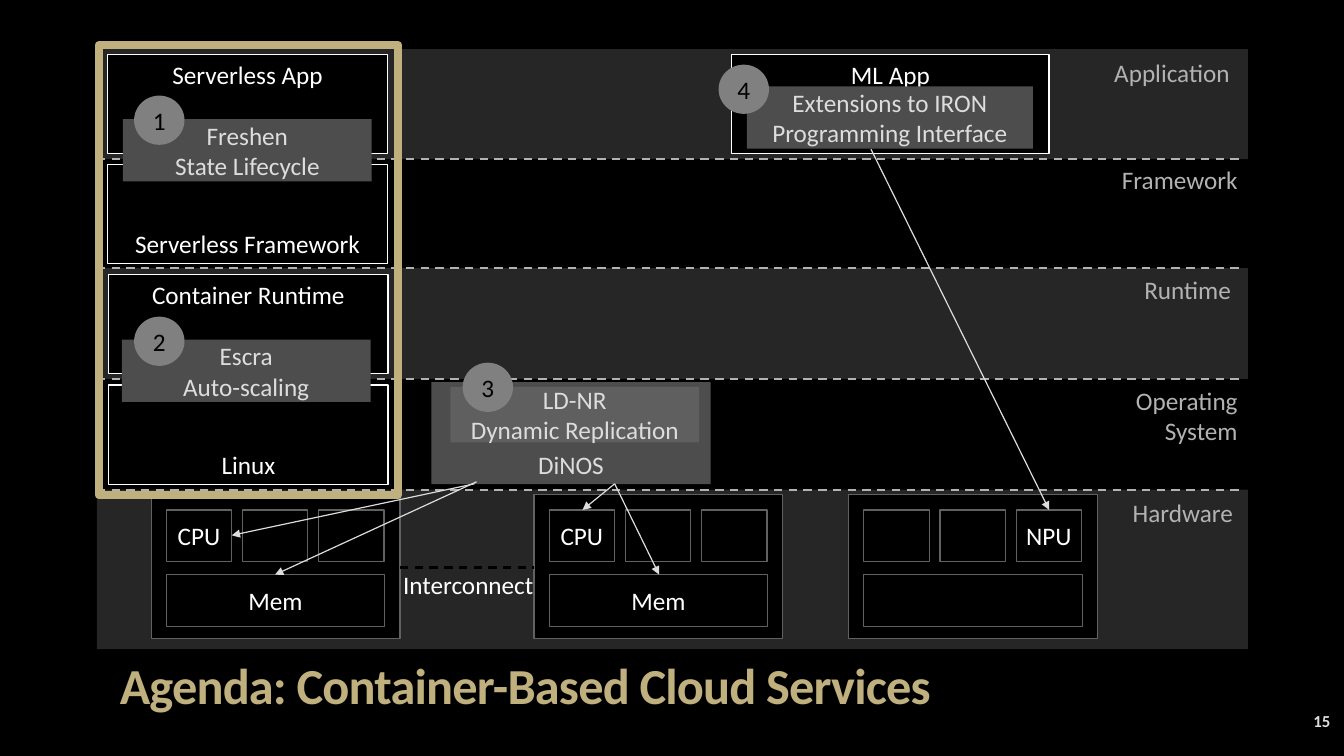
import pptx
import pptx.util
import pptx.dml.color
import pptx.enum.dml
import pptx.enum.shapes
import pptx.enum.text
import pptx.oxml
import pptx.oxml.ns
from dataclasses import dataclass
from lxml import etree

Cm, Pt = pptx.util.Cm, pptx.util.Pt
RGBColor = pptx.dml.color.RGBColor
Shape = pptx.enum.shapes.MSO_SHAPE
Anchor = pptx.enum.text.MSO_ANCHOR
Align = pptx.enum.text.PP_ALIGN


@dataclass(frozen=True)
class Theme:
    font: str = "Calibri"
    black: str = "000000"
    white: str = "FFFFFF"
    band: str = "262626"
    outline: str = "616161"
    work: str = "4D4D4D"
    inner_work: str = "5F5F5F"
    badge: str = "808080"
    label: str = "B2B2B2"
    light: str = "DDDDDD"
    gold: str = "BFB07D"
    body_size: float = 18
    title_size: float = 36
    number_size: float = 12
    thin: float = 0.85
    dash: float = 1.5
    frame: float = 6


theme = Theme()
presentation = pptx.Presentation()
presentation.slide_width, presentation.slide_height = Cm(33.87), Cm(19.05)
slide = presentation.slides.add_slide(presentation.slide_layouts[6])
slide.background.fill.solid()
slide.background.fill.fore_color.rgb = RGBColor.from_string(theme.black)


def add_block(kind, box, fill=None, line=None, text="", color=theme.white,
              anchor=Anchor.MIDDLE, align=Align.CENTER,
              size=theme.body_size, bold=False, line_width=theme.thin):
    """Add a filled shape, or a plain text box when kind is None."""
    lengths = [Cm(length) for length in box]
    if kind is None:
        shape = slide.shapes.add_textbox(*lengths)
    else:
        shape = slide.shapes.add_shape(kind, *lengths)
        shape.shadow.inherit = False
        shape.text_frame.margin_left = shape.text_frame.margin_right = 0
    if fill:
        shape.fill.solid()
        shape.fill.fore_color.rgb = RGBColor.from_string(fill)
    else:
        shape.fill.background()
    if line:
        shape.line.color.rgb = RGBColor.from_string(line)
        shape.line.width = Pt(line_width)
    else:
        shape.line.fill.background()
    text_frame = shape.text_frame
    text_frame.word_wrap = True
    text_frame.vertical_anchor = anchor
    text_frame.text = text
    for paragraph in text_frame.paragraphs:
        paragraph.alignment = align
        for run in paragraph.runs:
            run.font.name = theme.font
            run.font.size = Pt(size)
            run.font.bold = bold
            run.font.color.rgb = RGBColor.from_string(color)
    return shape


def add_line(start, end, color, width, dashed=False):
    """Add a dashed line, or a solid arrow pointing at end."""
    connector = slide.shapes.add_connector(
        pptx.enum.shapes.MSO_CONNECTOR.STRAIGHT,
        *[Cm(length) for length in (*start, *end)])
    connector.line.color.rgb = RGBColor.from_string(color)
    connector.line.width = Pt(width)
    if dashed:
        connector.line.dash_style = pptx.enum.dml.MSO_LINE.DASH
    else:
        etree.SubElement(connector.line._get_or_add_ln(),
                         pptx.oxml.ns.qn("a:tailEnd"), type="triangle")
    etree.SubElement(connector._element.spPr, pptx.oxml.ns.qn("a:effectLst"))


# Layer bands and the dashed borders between layers
layer_edges = [1.24, 4.01, 6.76, 9.55, 12.34, 16.36]
for top, bottom in zip(layer_edges[::2], layer_edges[1::2]):
    add_block(Shape.RECTANGLE, (2.44, top, 29.01, bottom - top), theme.band)
for edge in layer_edges[1:-1]:
    add_line((2.44, edge), (31.24, edge), theme.label, theme.dash, dashed=True)

# Hardware: three servers, each with three processors above one memory
servers = [
    (3.81, ["CPU", "", ""], "Mem"),
    (13.46, ["CPU", "", ""], "Mem"),
    (21.39, ["", "", "NPU"], ""),
]
for left, processors, memory in servers:
    parts = [((left, 12.47, 6.27, 3.63), "")]
    parts += [((left + 0.38 + 1.92 * column, 12.85, 1.65, 1.3), name)
              for column, name in enumerate(processors)]
    parts.append(((left + 0.38, 14.48, 5.51, 1.3), memory))
    for box, name in parts:
        add_block(Shape.RECTANGLE, box, theme.black, theme.outline, name)

# Software components
components = [
    ((18.44, 1.37, 8, 2.51), "ML App", Anchor.TOP),
    ((2.72, 1.37, 7.04, 2.51), "Serverless App", Anchor.TOP),
    ((2.72, 4.14, 7.04, 2.51), "Serverless Framework", Anchor.BOTTOM),
    ((2.74, 6.91, 7.04, 2.51), "Container Runtime", Anchor.TOP),
    ((2.74, 9.7, 7.04, 2.51), "Linux", Anchor.BOTTOM),
]
for box, name, anchor in components:
    add_block(Shape.RECTANGLE, box, theme.black, theme.white, name, anchor=anchor)
add_block(Shape.RECTANGLE, (10.87, 9.63, 7.04, 2.57), theme.work, None,
          "DiNOS", theme.light, Anchor.BOTTOM)

# Research contributions
contributions = [
    ((18.82, 2.18, 7.21, 1.57), theme.work, "Extensions to IRON\nProgramming Interface"),
    ((3.1, 3, 6.27, 1.57), theme.work, "Freshen\nState Lifecycle"),
    ((3.07, 8.56, 6.27, 1.57), theme.work, "Escra\nAuto-scaling"),
    ((11.35, 9.75, 6.27, 1.4), theme.inner_work, "LD-NR\nDynamic Replication"),
]
for box, fill, text in contributions:
    add_block(Shape.RECTANGLE, box, fill, None, text, theme.light)

# Arrows from software to hardware
arrows = [
    ((11.96, 12.19), (5.84, 13.49)),
    ((12.01, 12.14), (6.93, 14.48)),
    ((15.49, 12.19), (14.68, 12.85)),
    ((15.49, 12.19), (16.61, 14.48)),
    ((21.95, 3.76), (26.44, 12.85)),
]
for start, end in arrows:
    add_line(start, end, theme.light, theme.thin)

# Interconnect between the first two servers
add_line((10.08, 14.3), (13.46, 14.3), theme.black, theme.dash, dashed=True)
add_block(None, (9.91, 14.22, 4.45, 0.91), text="Interconnect",
          anchor=Anchor.TOP, align=Align.LEFT)

# Layer names, aligned by their right edges
layer_names = [
    ("Application", 31.24, 1.32, 1.02),
    ("Framework", 31.44, 4.01, 1.02),
    ("Runtime", 31.27, 6.78, 0.91),
    ("Operating System", 31.44, 9.58, 1.6),
    ("Hardware", 31.32, 12.4, 0.91),
]
for name, right, top, height in layer_names:
    add_block(None, (right - 3.9, top, 3.9, height), text=name,
              color=theme.label, anchor=Anchor.TOP, align=Align.RIGHT)

# Numbered badges
badge_corners = [(3.38, 2.41), (3.38, 7.98), (11.66, 9.14), (18.11, 1.63)]
for number, (left, top) in enumerate(badge_corners, start=1):
    add_block(Shape.OVAL, (left, top, 1.27, 1.24), theme.badge, None,
              str(number), theme.black)

# Title and slide number
title = add_block(None, (2.77, 16.54, 28.12, 3),
                  text="Agenda: Container-Based Cloud Services",
                  color=theme.gold, anchor=Anchor.TOP, align=Align.LEFT,
                  size=theme.title_size, bold=True)
title_paragraph = title.text_frame.paragraphs[0]
title_paragraph.line_spacing = 0.9
title_paragraph.runs[0].font._element.set("spc", "-60")
add_block(None, (29.54, 17.65, 4.24, 1.02), text="15", color=theme.light,
          align=Align.RIGHT, size=theme.number_size, bold=True)

# Gold frame around the serverless stack
frame = add_block(Shape.RECTANGLE, (2.49, 1.14, 7.54, 11.33),
                  line=theme.gold, line_width=theme.frame)
etree.SubElement(frame.line._get_or_add_ln(), pptx.oxml.ns.qn("a:round"))

presentation.save("out.pptx")
